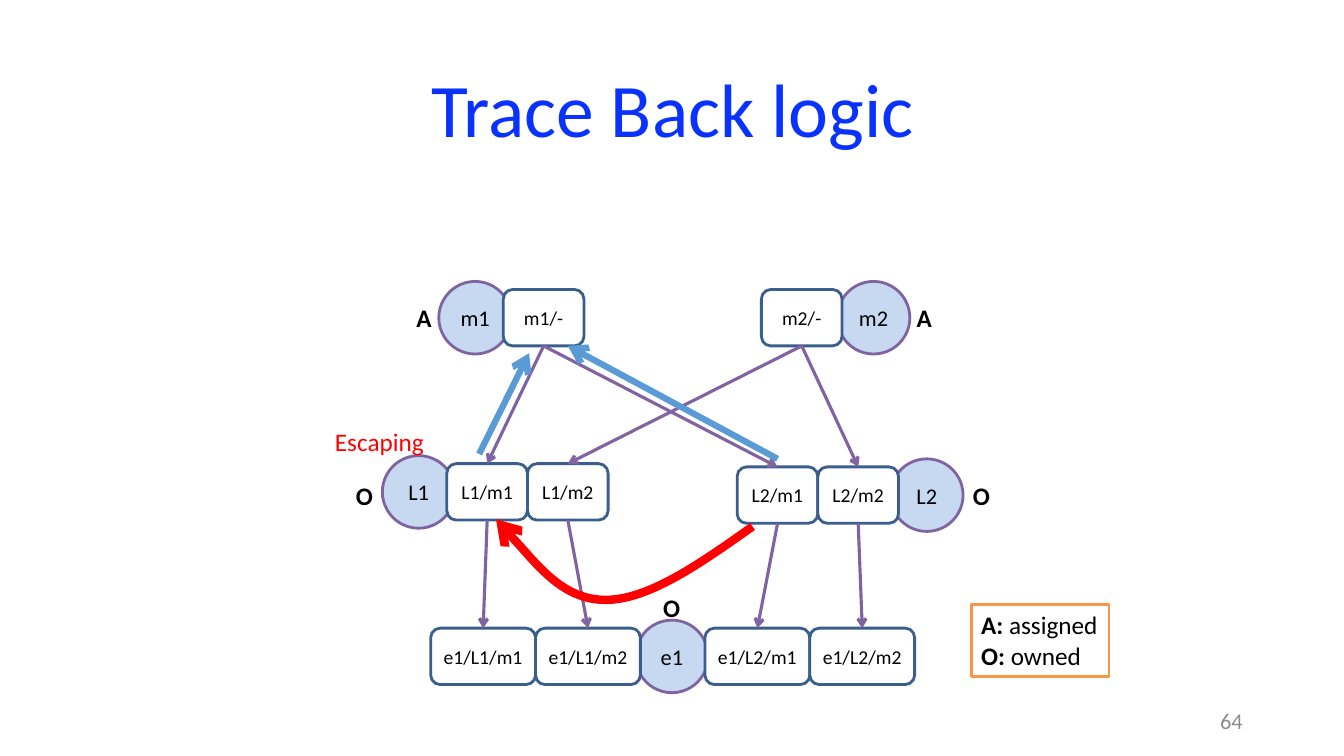
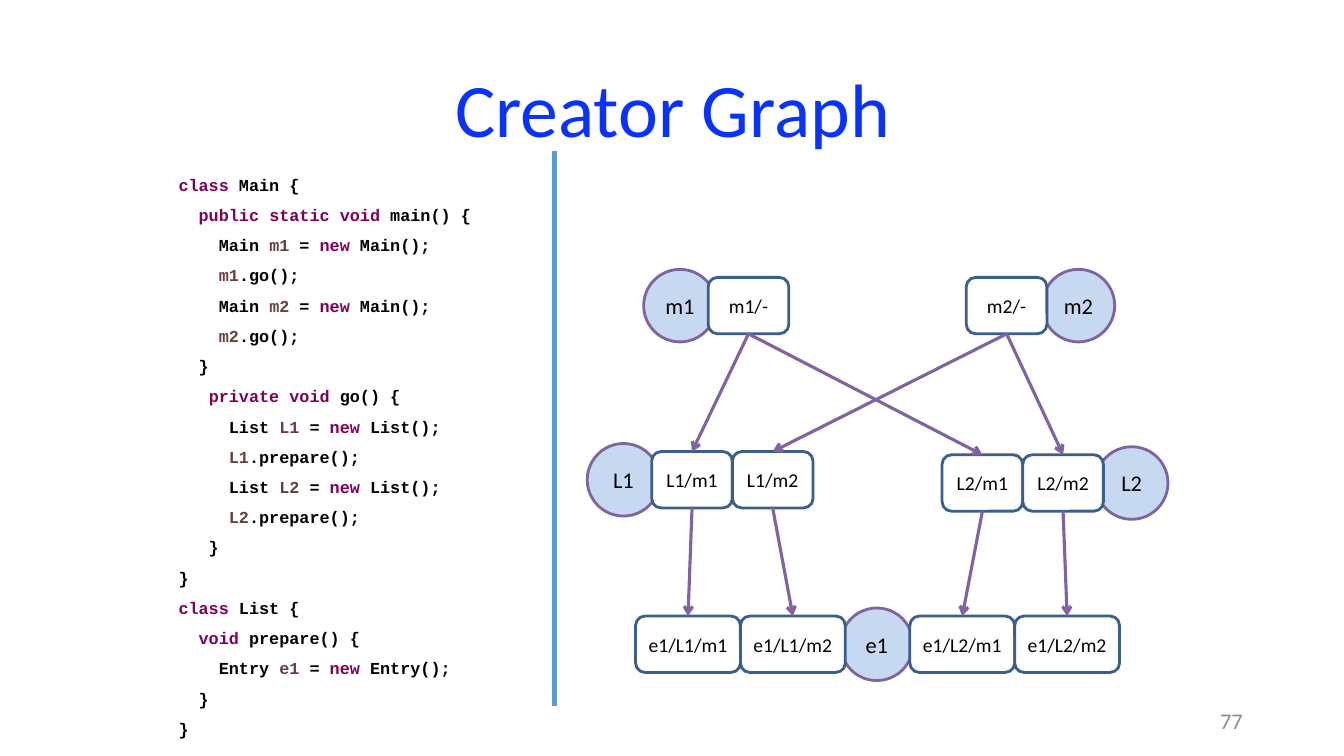
from dataclasses import dataclass
from itertools import groupby

from lxml import etree
from pptx import Presentation
from pptx.dml.color import RGBColor
from pptx.enum.shapes import MSO_CONNECTOR, MSO_SHAPE
from pptx.enum.text import MSO_ANCHOR, PP_ALIGN
from pptx.oxml.ns import qn
from pptx.util import Inches, Pt

STRAIGHT = MSO_CONNECTOR.STRAIGHT
CIRCLE, ROUNDED = MSO_SHAPE.OVAL, MSO_SHAPE.ROUNDED_RECTANGLE
TOP, MIDDLE = MSO_ANCHOR.TOP, MSO_ANCHOR.MIDDLE
LEFT, CENTER, RIGHT = PP_ALIGN.LEFT, PP_ALIGN.CENTER, PP_ALIGN.RIGHT
TOP_SIDE, BOTTOM_SIDE = 0, 2
CELL = 0.08  # inches per grid column and row


@dataclass(frozen=True)
class Theme:
    font: str = "Calibri"
    code_font: str = "Courier New"
    title_size: int = 54
    label_size: int = 18
    object_size: int = 16
    context_size: int = 14
    code_size: int = 12
    title: str = "0A32FF"
    ink: str = "000000"
    paper: str = "FFFFFF"
    page: str = "8C8C8C"
    object_fill: str = "C6D9F1"
    purple: str = "8064A2"
    navy: str = "3A5F8C"
    blue: str = "5B9BD5"
    red: str = "FF0000"
    orange: str = "F79646"
    keyword: str = "7F0055"
    variable: str = "6A3E3E"


THEME = Theme()

# Creator graph: name -> (column, row), counted from the graph's corner
OBJECTS = {"m1": (7, 0), "m2": (56.4, 0), "L1": (0, 21.6),
           "L2": (63, 22), "e1": (31.4, 42)}
CONTEXTS = {"m1/-": (15, 1), "m2/-": (47, 1),
            "L1/m1": (8, 22.6), "L1/m2": (18, 22.6),
            "L2/m1": (44, 23), "L2/m2": (54, 23),
            "e1/L1/m1": (6, 43), "e1/L1/m2": (19, 43),
            "e1/L2/m1": (40, 43), "e1/L2/m2": (53, 43)}
OBJECT_SIZE, CONTEXT_HEIGHT = 9, 7
SHORT_WIDTH, LONG_WIDTH = 10, 13

KEYWORDS = {"class", "public", "static", "private", "void", "new"}
VARIABLES = set(OBJECTS)
CODE = """\
class Main {
  public static void main() {
    Main m1 = new Main();
    m1.go();
    Main m2 = new Main();
    m2.go();
  }
   private void go() {
     List L1 = new List();
     L1.prepare();
     List L2 = new List();
     L2.prepare();
   }
}
class List {
  void prepare() {
    Entry e1 = new Entry();
  }
}"""


def cells(*counts):
    return [Inches(count * CELL) for count in counts]


def rgb(value):
    return RGBColor.from_string(value)


def code_color(word):
    if word in KEYWORDS:
        return THEME.keyword
    return THEME.variable if word in VARIABLES else THEME.ink


def code_runs(line):
    words = ["".join(chars) for _, chars in groupby(line, str.isalnum)]
    return [("".join(part), color, True)
            for color, part in groupby(words, code_color)]


class Deck:
    def __init__(self):
        self.prs = Presentation()
        self.prs.slide_width, self.prs.slide_height = Inches(13.33), Inches(7.5)

    def new_slide(self, title, page, graph_corner):
        self.slide = self.prs.slides.add_slide(self.prs.slide_layouts[6])
        self.shapes = self.slide.shapes
        self.corner = graph_corner
        self.text((117.8, 86.9, 37.5, 5), [[(str(page), THEME.page, False)]],
                  THEME.object_size, align=RIGHT, anchor=MIDDLE)
        self.text((11.5, 5, 143.8, 18.1), [[(title, THEME.title, False)]],
                  THEME.title_size, align=CENTER, anchor=MIDDLE, spacing=0.9)

    def in_graph(self, column, row):
        return self.corner[0] + column, self.corner[1] + row

    # Text
    def add_runs(self, frame, paragraphs, size, font=THEME.font, align=LEFT,
                 spacing=None):
        for index, runs in enumerate(paragraphs):
            paragraph = frame.add_paragraph() if index else frame.paragraphs[0]
            paragraph.alignment = align
            if spacing:
                paragraph.line_spacing = spacing
            for wording, color, bold in runs:
                run = paragraph.add_run()
                run.text = wording
                run.font.name, run.font.size, run.font.bold = font, Pt(size), bold
                run.font.color.rgb = rgb(color)

    def text(self, area, paragraphs, size, anchor=TOP, wrap=True, fill=None,
             border=None, **style):
        box = self.shapes.add_textbox(*cells(*area))
        box.text_frame.word_wrap = wrap
        box.text_frame.vertical_anchor = anchor
        if fill:
            box.fill.solid()
            box.fill.fore_color.rgb = rgb(fill)
        if border:
            self.stroke(box.line, border, 2)
        self.add_runs(box.text_frame, paragraphs, size, **style)

    def label(self, column, row, width, wording, color=THEME.ink, bold=True):
        self.text((*self.in_graph(column, row), width, 5),
                  [[(wording, color, bold)]], THEME.label_size, wrap=False)

    # Lines
    def stroke(self, line, color, width, arrow=False):
        line.color.rgb = rgb(color)
        line.width = Pt(width)
        if arrow:
            etree.SubElement(line._get_or_add_ln(), qn("a:tailEnd"), type="arrow")

    def line(self, start, end, color, width, arrow=True):
        connector = self.shapes.add_connector(STRAIGHT, *cells(*start, *end))
        self.stroke(connector.line, color, width, arrow)
        etree.SubElement(connector._element.spPr, qn("a:effectLst"))
        return connector

    def edge(self, parent, child):
        connector = self.line((0, 0), (1, 1), THEME.purple, 2.25)
        connector.begin_connect(parent, BOTTOM_SIDE)
        connector.end_connect(child, TOP_SIDE)

    def trace(self, start, end):
        self.line(self.in_graph(*start), self.in_graph(*end), THEME.blue, 4.5)

    def curve(self, start, points, color, width):
        """Draw cubic curves; every three points are two handles and an end."""
        builder = self.shapes.build_freeform(*cells(*self.in_graph(*start)))
        builder.add_line_segments(
            [cells(*self.in_graph(*point)) for point in points], close=False)
        shape = builder.convert_to_shape()
        shape.shadow.inherit = False
        shape.fill.background()
        self.stroke(shape.line, color, width, arrow=True)
        segments = list(shape._element.iter(qn("a:lnTo")))
        outline = segments[0].getparent()
        for first in range(0, len(segments), 3):
            cubic = etree.SubElement(outline, qn("a:cubicBezTo"))
            for segment in segments[first:first + 3]:
                cubic.append(segment[0])
                outline.remove(segment)

    # Graph
    def node(self, preset, name, place, width, height, fill, border, size):
        shape = self.shapes.add_shape(
            preset, *cells(*self.in_graph(*place), width, height))
        shape.shadow.inherit = False
        shape.fill.solid()
        shape.fill.fore_color.rgb = rgb(fill)
        self.stroke(shape.line, border, 2)
        frame = shape.text_frame
        frame.margin_left = frame.margin_right = 0
        frame.vertical_anchor = MIDDLE
        self.add_runs(frame, [[(name, THEME.ink, False)]], size, align=CENTER)
        return shape

    def graph(self):
        for name, place in OBJECTS.items():
            self.node(CIRCLE, name, place, OBJECT_SIZE, OBJECT_SIZE,
                      THEME.object_fill, THEME.purple, THEME.object_size)
        boxes = {}
        for name, place in CONTEXTS.items():
            width = LONG_WIDTH if name.startswith("e1") else SHORT_WIDTH
            boxes[name] = self.node(ROUNDED, name, place, width, CONTEXT_HEIGHT,
                                    THEME.paper, THEME.navy, THEME.context_size)
        for main_object in ("m1", "m2"):
            for list_object in ("L1", "L2"):
                middle = boxes[f"{list_object}/{main_object}"]
                self.edge(boxes[f"{main_object}/-"], middle)
                self.edge(middle, boxes[f"e1/{list_object}/{main_object}"])


def trace_back_slide(deck):
    deck.new_slide("Trace Back logic", 64, graph_corner=(47.4, 34.9))
    deck.graph()

    # Ownership marks and their legend
    for mark, column, row in (("A", 3, 2), ("A", 65, 2), ("O", -4.5, 24),
                              ("O", 72, 24), ("O", 33.6, 38)):
        deck.label(column, row, 4.5, mark)
    legend = [[(mark, THEME.ink, True), (meaning, THEME.ink, False)]
              for mark, meaning in (("A: ", "assigned"), ("O: ", "owned"))]
    deck.text((*deck.in_graph(73, 40.1), 17.1, 8.9), legend, THEME.label_size,
              wrap=False, fill=THEME.paper, border=THEME.orange)

    # Trace back and escape
    deck.trace((12, 21.4), (18.2, 8.9))
    deck.trace((49, 22), (23, 8))
    deck.curve((45.9, 30.4),
               [(39.4, 35), (32.9, 39.6), (27.5, 39.5),
                (22.2, 39.4), (14.6, 30), (14.1, 29.5)], THEME.red, 6)
    deck.label(-7.1, 17.4, 13.6, "Escaping", THEME.red, bold=False)


def creator_graph_slide(deck):
    deck.new_slide("Creator Graph", 77, graph_corner=(72.8, 33.4))

    # Code column and divider
    deck.text((20.9, 19.75, 45.9, 74), [code_runs(line) for line in CODE.splitlines()],
              THEME.code_size, fill=THEME.paper, font=THEME.code_font, spacing=1.5)
    deck.line((68.75, 18.75), (68.75, 87.5), THEME.blue, 3, arrow=False)

    deck.graph()


def main():
    deck = Deck()
    trace_back_slide(deck)
    creator_graph_slide(deck)
    deck.prs.save("out.pptx")


if __name__ == "__main__":
    main()
